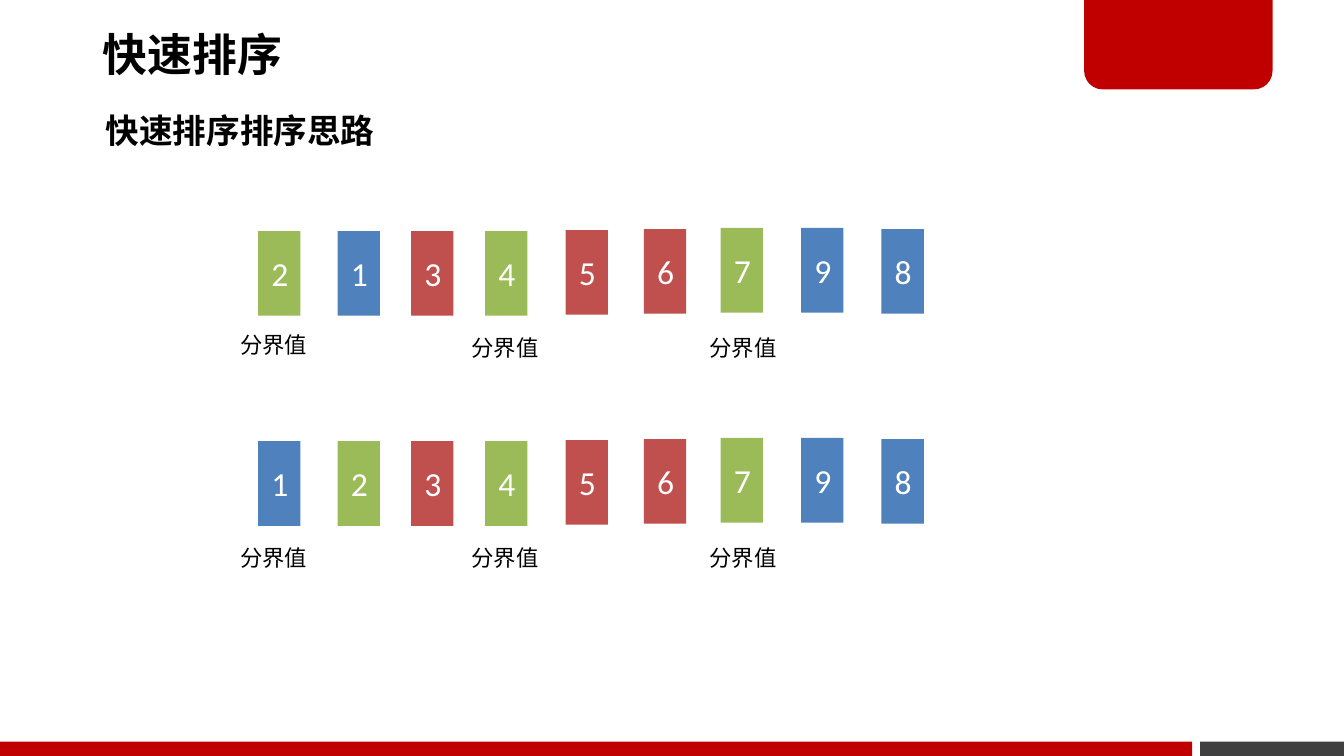
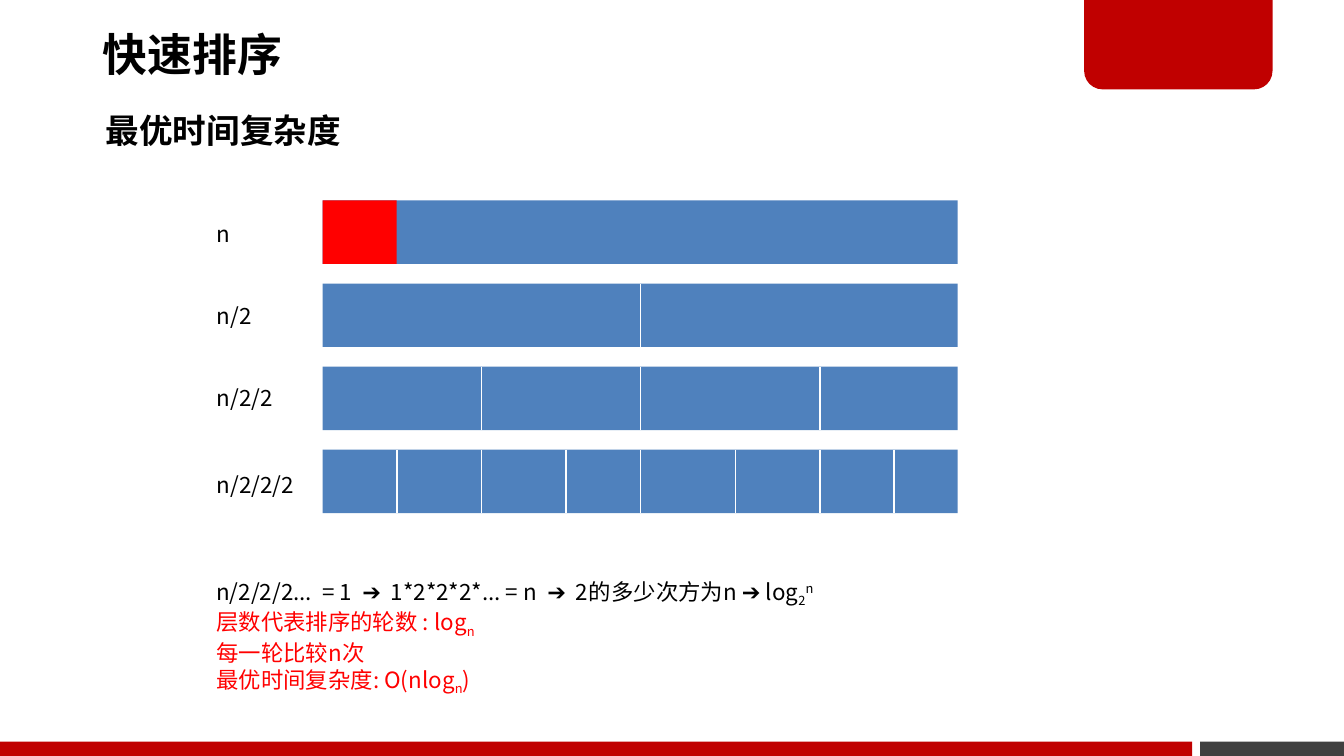
from lxml import etree
from pptx import Presentation
from pptx.dml.color import RGBColor
from pptx.enum.shapes import MSO_CONNECTOR, MSO_SHAPE as SHAPE
from pptx.enum.text import MSO_ANCHOR, MSO_AUTO_SIZE as FIT, PP_ALIGN
from pptx.oxml.ns import qn
from pptx.util import Cm, Pt

COLORS = {
    "black": "000000", "white": "FFFFFF", "brand": "C00000", "grey": "404040",
    "red": "FF0000", "blue": "4F81BD", "green": "9BBB59", "brick": "C0504D",
}
CJK = "Noto Sans CJK SC"


def add_box(s, x, y, w, h, color=None, kind=SHAPE.RECTANGLE):
    area = Cm(x), Cm(y), Cm(w), Cm(h)
    if color is None:
        sp = s.shapes.add_textbox(*area)
        sp.text_frame.word_wrap = False
        sp.text_frame.auto_size = FIT.SHAPE_TO_FIT_TEXT
        return sp
    sp = s.shapes.add_shape(kind, *area)
    sp.shadow.inherit = False
    sp.fill.solid()
    sp.fill.fore_color.rgb = RGBColor.from_string(COLORS[color])
    sp.line.fill.background()
    return sp


def add_run(p, text, size=12, color="black", bold=False, font=CJK, base=0):
    r = p.add_run()
    r.text = text
    r.font.size = Pt(size)
    r.font.bold = bold
    r.font.color.rgb = RGBColor.from_string(COLORS[color])
    r.font.name = font
    rPr = r._r.get_or_add_rPr()
    etree.SubElement(rPr, qn("a:ea")).set("typeface", font)
    if base:
        rPr.set("baseline", str(base * 1000))


prs = Presentation()
prs.slide_width, prs.slide_height = Cm(25.4), Cm(14.29)

slides = []
for subtitle, width in [("快速排序排序思路", 5.66), ("最优时间复杂度", 5.0)]:
    s = prs.slides.add_slide(prs.slide_layouts[5])
    slides.append(s)
    add_box(s, 22.68, 14.02, 2.72, 0.27, "grey")
    add_box(s, 0, 14.02, 22.53, 0.27, "brand")
    tab = add_box(s, 20.49, -0.05, 3.56, 1.74, "brand", SHAPE.ROUND_2_SAME_RECTANGLE)
    tab.adjustments[0], tab.adjustments[1] = 0, 0.2

    title = s.shapes.title
    title.left, title.top, title.width, title.height = Cm(1.75), Cm(-0.05), Cm(14.96), Cm(2.26)
    tf = title.text_frame
    tf.auto_size = FIT.NONE
    tf.vertical_anchor = MSO_ANCHOR.MIDDLE
    tf.margin_left = tf.margin_right = Cm(0.19)
    tf.margin_top = tf.margin_bottom = Cm(0.1)
    p = tf.paragraphs[0]
    p.alignment = PP_ALIGN.LEFT
    p.line_spacing = 0.9
    add_run(p, "快速排序", 24, bold=True)

    sp = add_box(s, 1.75, 1.95, width, 1.02)
    add_run(sp.text_frame.paragraphs[0], subtitle, 18, bold=True)

sorting, complexity = slides

s = sorting
cell_lefts = [4.88, 6.38, 7.77, 9.17, 10.69, 12.17, 13.62, 15.14, 16.66]
cell_tops = [4.37, 4.37, 4.37, 4.37, 4.35, 4.33, 4.31, 4.31, 4.33]
cell_colors = {
    "1": "blue", "2": "green", "3": "brick", "4": "green", "5": "brick",
    "6": "brick", "7": "green", "8": "blue", "9": "blue",
}
for shift, digits, first_label in [(0, "213456798", 6.13), (3.97, "123456798", 10.16)]:
    for digit, x, y in zip(digits, cell_lefts, cell_tops):
        sp = add_box(s, x, y + shift, 0.8, 1.6, cell_colors[digit])
        tf = sp.text_frame
        tf.vertical_anchor = MSO_ANCHOR.MIDDLE
        p = tf.paragraphs[0]
        p.alignment = PP_ALIGN.CENTER
        add_run(p, digit, 18, "white", font="Calibri")
    for x, y in [(4.29, first_label), (8.66, 6.19 + shift), (13.16, 6.19 + shift)]:
        sp = add_box(s, x, y, 1.8, 0.77)
        add_run(sp.text_frame.paragraphs[0], "分界值")

s = complexity
levels = [
    ("n", 4.04, 0.79, []),
    ("n/2", 5.59, 1.22, [12.1]),
    ("n/2/2", 7.14, 1.65, [9.1, 12.1, 15.5]),
    ("n/2/2/2", 8.79, 2.08, [7.5, 9.1, 10.7, 12.1, 13.9, 15.5, 16.9]),
]
for i, (label, label_top, label_width, cuts) in enumerate(levels):
    top = 3.79 + 1.57 * i
    add_box(s, 6.1, top, 12, 1.2, "blue")
    for x in cuts:
        cut = s.shapes.add_connector(
            MSO_CONNECTOR.STRAIGHT, Cm(x), Cm(top), Cm(x), Cm(top + 1.2))
        cut.line.color.rgb = RGBColor.from_string(COLORS["white"])
        cut.line.width = Pt(0.75)
        etree.SubElement(cut._element.spPr, qn("a:effectLst"))
    sp = add_box(s, 3.85, label_top, label_width, 0.77)
    add_run(sp.text_frame.paragraphs[0], label)
add_box(s, 6.1, 3.79, 1.4, 1.2, "red")

conclusions = [
    ("black", [("n/2/2/2...  = 1  ➔  1*2*2*2*... = n  ➔  2的多少次方为n ➔ log", 0),
               ("2", -25), ("n", 30)]),
    ("red", [("层数代表排序的轮数 : log", 0), ("n", -25)]),
    ("red", [("每一轮比较n次", 0)]),
    ("red", [("最优时间复杂度: O(nlog", 0), ("n", -25), (")", 0)]),
]
tf = add_box(s, 3.84, 10.8, 12.93, 2.31).text_frame
for i, (color, parts) in enumerate(conclusions):
    p = tf.add_paragraph() if i else tf.paragraphs[0]
    for text, base in parts:
        add_run(p, text, color=color, base=base)

prs.save("out.pptx")
